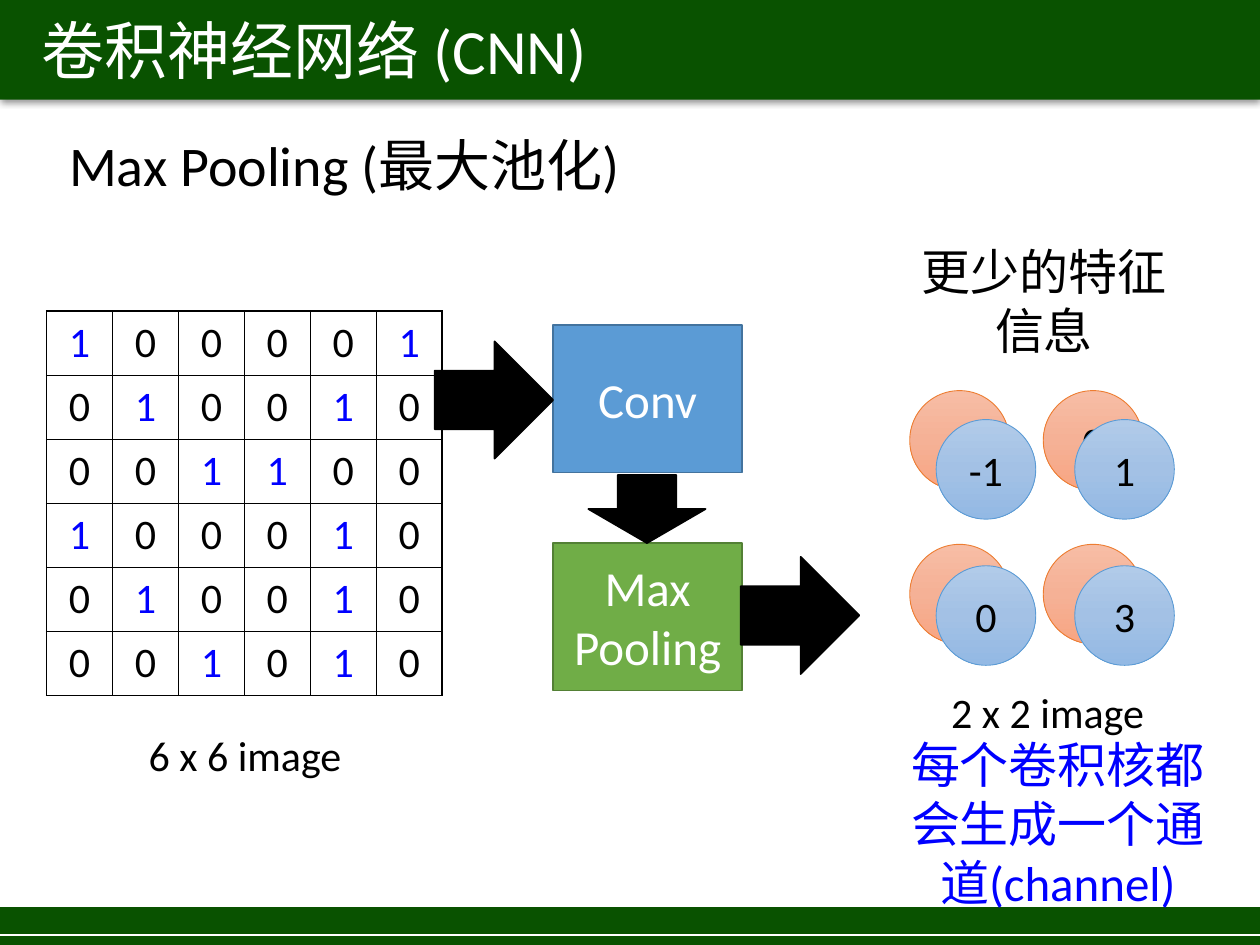
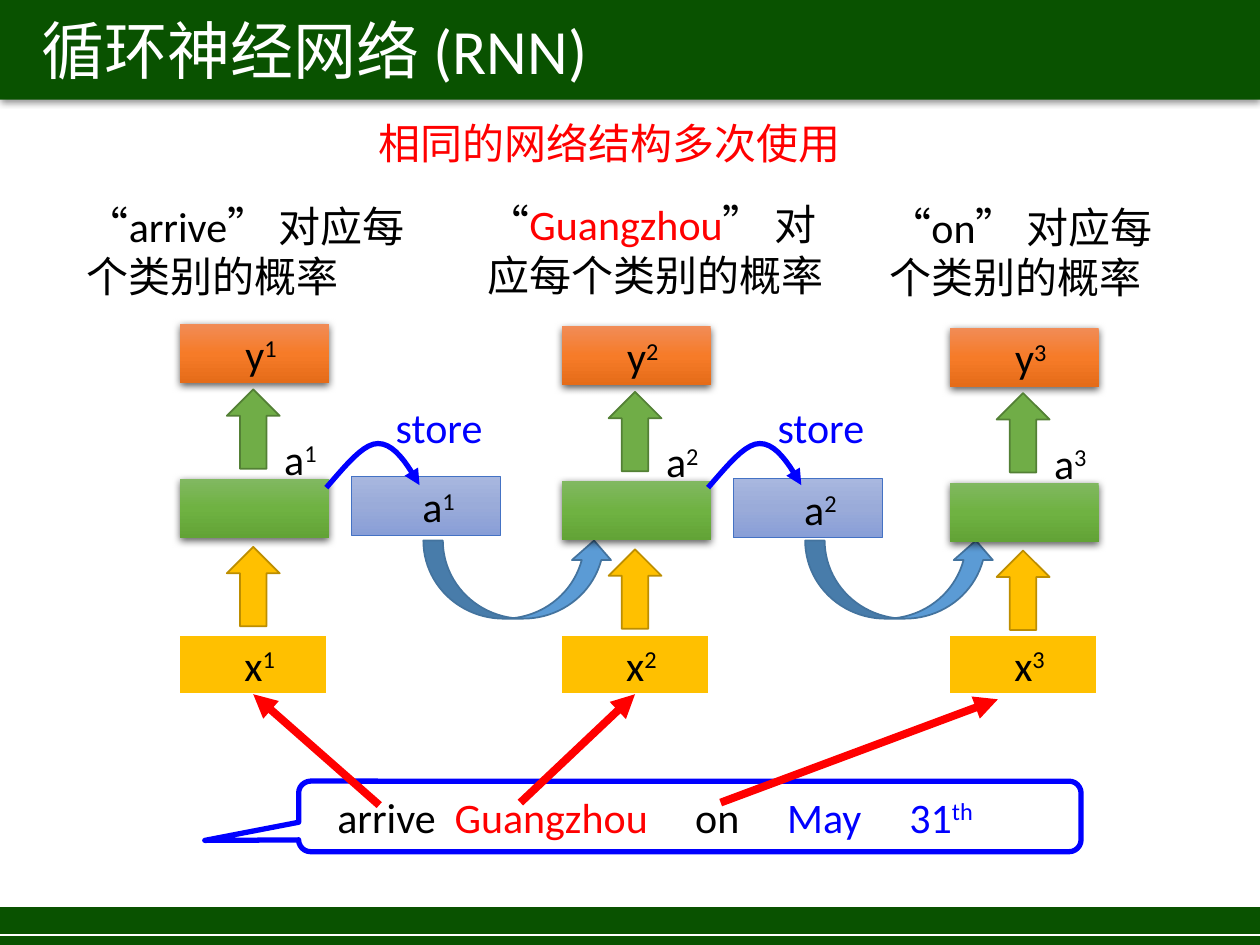
"""Build two slides that explain convolutional and recurrent networks."""
from copy import deepcopy
from dataclasses import dataclass
from itertools import product
from typing import Any, NamedTuple, Optional, Sequence, Union

from lxml.etree import SubElement
from pptx import Presentation
from pptx.dml.color import RGBColor
from pptx.enum.lang import MSO_LANGUAGE_ID
from pptx.enum.shapes import MSO_CONNECTOR, MSO_SHAPE
from pptx.enum.text import MSO_ANCHOR, MSO_AUTO_SIZE, PP_ALIGN
from pptx.oxml.ns import qn
from pptx.util import Emu, Inches, Pt

WIDE, HIGH = Inches(10), Inches(7.5)
COL, ROW = WIDE / 100, HIGH / 75
FONT = "Calibri"
HUES = {
    "band": "095200", "white": "FFFFFF", "black": "000000", "blue": "0000FF",
    "red": "FF0000", "sky": "5B9BD5", "sea": "43739E", "leaf": "70AD47",
    "moss": "538035", "gold": "FFC000", "bronze": "BD8E00", "rust": "ED7D31",
    "navy": "4472C4",
}
FADES = {
    "peach": ("F7BDA5", "F5B196", "F8A582"),
    "mist": ("B1CBE9", "A3C1E5", "93B9E4"),
    "grass": ("81B861", "6FB242", "62A336"),
    "flame": ("F18C57", "F67B28", "E56C19"),
    "dusk": ("A8B7DF", "9AABD9", "889ED7"),
}


class Box(NamedTuple):
    """Place and size in grid columns and rows."""
    left: float
    top: float
    wide: float
    high: float


class Bit(NamedTuple):
    """A run of text with its colour and height."""
    text: str
    hue: str = "black"
    high: bool = False


class Look(NamedTuple):
    """Fill, outline and shadow of a shape."""
    fill: Optional[str] = None
    line: Optional[str] = None
    width: float = 1
    shade: Optional[tuple] = None


@dataclass
class Step:
    """One time step of the recurrent network."""
    mark: str
    left: float
    drop: float
    start: tuple
    aim: float
    note: Box
    words: tuple
    store: bool = True


Words = Union[str, Sequence[Bit]]
GLOW = (63, 4.5, 1.5)
LOOKS = {
    "conv": Look("sky", "sea"), "pool": Look("leaf", "moss"),
    "flow": Look("black", "black"), "feed": Look("gold", "bronze"),
    "back": Look("peach", "rust", 0.5), "front": Look("mist", "sky", 0.5),
    "input": Look("gold", "white", 1.5), "cell": Look("grass", shade=GLOW),
    "output": Look("flame", shade=GLOW), "store": Look("dusk", "navy", 0.5),
    "band": Look("band"), "head": Look("band", shade=(40, 4, 1)),
    "pen": Look(None, "blue", 3),
}
GRID = ("100001", "010010", "001100", "100010", "010010", "001010")


def paint(hue: str) -> RGBColor:
    """Give the colour for a hue name or hex string."""
    return RGBColor.from_string(HUES.get(hue, hue))


def put(item: Any, **form: Any) -> None:
    """Set each format value on an item."""
    for name, value in form.items():
        setattr(item, name, value)


def spot(box: Box) -> list:
    """Turn grid cells into slide lengths."""
    return [Emu(round(n * unit)) for n, unit in zip(box, (COL, ROW) * 2)]


def write(frame: Any, words: Words, size: float = 24, hue: str = "black",
          align: Any = PP_ALIGN.CENTER, tabs: Sequence[float] = ()) -> None:
    """Write one paragraph of runs into a text frame."""
    frame.word_wrap = True
    para = frame.paragraphs[0]
    para.alignment = align
    if tabs:
        stops = SubElement(para._p.get_or_add_pPr(), qn("a:tabLst"))
        for tab in tabs:
            SubElement(stops, qn("a:tab"), pos=str(round(tab * COL)), algn="l")
    for bit in [Bit(words, hue)] if isinstance(words, str) else words:
        run = para.add_run()
        run.text = bit.text
        put(run.font, name=FONT, size=Pt(size),
            language_id=MSO_LANGUAGE_ID.SIMPLIFIED_CHINESE)
        run.font.color.rgb = paint(bit.hue)
        if bit.high:
            run._r.get_or_add_rPr().set("baseline", "30000")


def fade(shape: Any, hues: Sequence[str]) -> None:
    """Fill a shape with three colours from top to bottom."""
    shape.fill.gradient()
    shape.fill.gradient_angle = 270
    stops = shape.element.spPr.find(qn("a:gradFill")).find(qn("a:gsLst"))
    mid = deepcopy(stops[0])
    mid.set("pos", "50000")
    stops.insert(1, mid)
    for stop, hue in zip(shape.fill.gradient_stops, hues):
        stop.color.rgb = paint(hue)


def stroke(line: Any, hue: str, width: float) -> None:
    """Set colour and width of a line."""
    line.color.rgb = paint(hue)
    line.width = Pt(width)


def dress(shape: Any, look: Look) -> None:
    """Give a shape its fill, outline and shadow."""
    if look.fill in FADES:
        fade(shape, FADES[look.fill])
    elif look.fill:
        shape.fill.solid()
        shape.fill.fore_color.rgb = paint(look.fill)
    else:
        shape.fill.background()
    if look.line:
        stroke(shape.line, look.line, look.width)
    else:
        shape.line.fill.background()
    shape.shadow.inherit = False
    if look.shade:
        alpha, blur, dist = look.shade
        cast = SubElement(shape.element.spPr.find(qn("a:effectLst")), qn("a:outerShdw"),
                          blurRad=str(Pt(blur)), dist=str(Pt(dist)), dir="5400000",
                          algn="t", rotWithShape="0")
        tone = SubElement(cast, qn("a:srgbClr"), val=HUES["black"])
        SubElement(tone, qn("a:alpha"), val=str(alpha * 1000))


def draw(slide: Any, box: Box, look: str, kind: Any = MSO_SHAPE.RECTANGLE,
         words: Words = "", **form: Any) -> Any:
    """Draw a preset shape with centred words."""
    shape = slide.shapes.add_shape(kind, *spot(box))
    dress(shape, LOOKS[look])
    if words:
        shape.text_frame.vertical_anchor = MSO_ANCHOR.MIDDLE
        write(shape.text_frame, words, **form)
    return shape


def label(slide: Any, box: Box, words: Words, **form: Any) -> None:
    """Add a plain text box."""
    write(slide.shapes.add_textbox(*spot(box)).text_frame, words, **form)


def point(shape: Any) -> None:
    """Put an arrowhead at the end of a line."""
    SubElement(shape.element.spPr.find(qn("a:ln")), qn("a:tailEnd"), type="triangle")


def link(slide: Any, ends: Box, hue: str, width: float) -> Any:
    """Draw a straight connector between two points."""
    line = slide.shapes.add_connector(MSO_CONNECTOR.STRAIGHT, *spot(ends))
    stroke(line.line, hue, width)
    SubElement(line.element.spPr, qn("a:effectLst"))
    return line


def curve(slide: Any, left: float, top: float) -> None:
    """Draw the arched arrow that stores a value."""
    arcs = (((0, 3.5), (1.5, 1.8), (2.9, 0), (4.1, 0)),
            ((4.1, 0), (5.4, 0), (6.4, 1.6), (7.4, 3.3)))
    dots = []
    for arc, step in product(arcs, range(11)):
        t = step / 10
        share = ((1 - t) ** 3, 3 * t * (1 - t) ** 2, 3 * t * t * (1 - t), t ** 3)
        x, y = (sum(s * p[axis] for s, p in zip(share, arc)) for axis in (0, 1))
        dots.append(((left + x) * COL, (top + y) * ROW))
    path = slide.shapes.build_freeform(*map(round, dots[0]))
    path.add_line_segments([tuple(map(round, dot)) for dot in dots[1:]], close=False)
    shape = path.convert_to_shape()
    dress(shape, LOOKS["pen"])
    point(shape)


def start(deck: Any, name: str) -> Any:
    """Add a slide with title band and footer."""
    slide = deck.slides.add_slide(deck.slide_layouts[5])
    title = slide.shapes.title
    put(title, **dict(zip(("left", "top", "width", "height"), spot(Box(0, 0, 100, 7.9)))))
    dress(title, LOOKS["head"])
    put(title.text_frame, auto_size=MSO_AUTO_SIZE.NONE, margin_left=Inches(0.33),
        vertical_anchor=MSO_ANCHOR.MIDDLE)
    write(title.text_frame, name, 36, "white", PP_ALIGN.LEFT)
    draw(slide, Box(0, 72, 100, 3), "band")
    link(slide, Box(0, 74.2, 100, 74.2), "white", 0.75)
    return slide


def matrix(slide: Any) -> None:
    """Add the table of pixel values."""
    size = len(GRID)
    table = slide.shapes.add_table(size, size, *spot(Box(3.7, 24.7, 31.4, 30.5))).table
    put(table, first_row=False, horz_banding=False)
    for row, col in product(range(size), repeat=2):
        cell, mark = table.cell(row, col), GRID[row][col]
        write(cell.text_frame, mark, hue="blue" if mark == "1" else "black")
        form = cell._tc.get_or_add_tcPr()
        for side in ("lnL", "lnR", "lnT", "lnB"):
            edge = SubElement(form, qn(f"a:{side}"), w=str(Pt(1)))
            SubElement(SubElement(edge, qn("a:solidFill")), qn("a:srgbClr"),
                       val=HUES["black"])
        cell.fill.background()


def cnn(deck: Any) -> None:
    """Build the slide on convolution and pooling."""
    slide = start(deck, "卷积神经网络 (CNN)")
    matrix(slide)
    label(slide, Box(6.6, 57.4, 25.7, 5), "6 x 6 image")
    layers = (("back", (72.2, 82.8), (31, 43.2), ("3", "0", "3", "1")),
              ("front", (74.3, 85.3), (33.3, 44.9), ("-1", "1", "0", "3")))
    for look, lefts, tops, marks in layers:
        for (top, left), mark in zip(product(tops, lefts), marks):
            draw(slide, Box(left, top, 7.9, 7.9), look, MSO_SHAPE.OVAL, mark)
    label(slide, Box(70.3, 54, 25.7, 5), "2 x 2 image")
    label(slide, Box(70.7, 57.8, 26.5, 15.1), "每个卷积核都会生成一个通道(channel)",
          size=28, hue="blue")
    label(slide, Box(70.4, 18.7, 24.9, 10.4), "更少的特征信息", size=28)
    for look, top, words in (("conv", 25.8, "Conv"), ("pool", 43.1, "Max Pooling")):
        draw(slide, Box(43.9, top, 15, 11.7), look, words=words, size=28, hue="white")
    for left, top in ((34.5, 27.1), (58.8, 44.2)):
        draw(slide, Box(left, top, 9.4, 9.3), "flow", MSO_SHAPE.RIGHT_ARROW)
    draw(slide, Box(46.7, 37.7, 9.3, 5.4), "flow", MSO_SHAPE.DOWN_ARROW)
    label(slide, Box(4.5, 9.9, 46.2, 11.4), "Max Pooling (最大池化)", size=32,
          align=PP_ALIGN.LEFT)


def unit(slide: Any, step: Step) -> None:
    """Draw one time step from input to output."""
    left, drop = step.left, step.drop
    sign = {name: (Bit(name), Bit(step.mark, high=True)) for name in "xay"}
    source = draw(slide, Box(left, 50.4, 11.8, 4.7), "input", words=sign["x"])
    draw(slide, Box(left + 0.1, 38 + drop, 11.8, 4.7), "cell")
    target = draw(slide, Box(left + 0.1, 25.7 + drop, 11.8, 4.7), "output", words=sign["y"])
    for look, top in (("feed", 43.4), ("pool", 30.9)):
        draw(slide, Box(left + 3.8, top + drop, 4.2, 6.3), look, MSO_SHAPE.UP_ARROW)
    label(slide, Box(left + 6.5, 33.9 + drop, 6.3, 5), sign["a"])
    if step.store:
        held = draw(slide, Box(left + 13.7, 37.8 + drop, 11.8, 4.7), "store", words=sign["a"])
        put(held.text_frame, margin_left=Inches(0.3))
        draw(slide, Box(left + 19.4, 42.9, 15.1, 6.2), "conv", MSO_SHAPE.CURVED_UP_ARROW)
        curve(slide, left + 11.7, 35.2)
        label(slide, Box(left + 14.9, 31.4, 11.5, 5), "store", hue="blue")
    for shape in (source, target):
        put(shape.text_frame, margin_left=Inches(0.2))
    arrow = link(slide, Box(*step.start, left + 5.9 + step.aim, 55.5), "red", 4.5)
    point(arrow)
    if not step.aim:
        arrow.end_connect(source, 2)
    label(slide, step.note, step.words, align=PP_ALIGN.LEFT)


def rnn(deck: Any) -> None:
    """Build the slide on the recurrent network."""
    slide = start(deck, "循环神经网络 (RNN)")
    label(slide, Box(18.5, 8.8, 59.8, 5), "相同的网络结构多次使用", hue="red")
    said = (Bit("arrive"), Bit("\tGuangzhou", "red"), Bit("\ton"), Bit("\tMay", "blue"),
            Bit("\t31", "blue"), Bit("th", "blue", True))
    bubble = draw(slide, Box(23.7, 62, 62.1, 5.6), "pen", MSO_SHAPE.ROUNDED_RECTANGULAR_CALLOUT,
                  said, align=PP_ALIGN.LEFT, tabs=(9.3, 28.4, 35.7, 45.4))
    put(bubble.text_frame, margin_left=Inches(0.28))
    for spot_no, value in enumerate((-0.62, 0.34, 0.17)):
        bubble.adjustments[spot_no] = value
    tail = "” 对应每个类别的概率"
    steps = (
        Step("1", 14.2, 0, (30.1, 63.9), 0, Box(5.9, 15.4, 29.5, 9.1),
             (Bit("“arrive" + tail),)),
        Step("2", 44.5, 0.2, (41.3, 63.7), 0, Box(37.7, 15.3, 29.5, 9.1),
             (Bit("“"), Bit("Guangzhou", "red"), Bit(tail))),
        Step("3", 75.3, 0.3, (57.2, 63.7), -2, Box(69.6, 15.5, 25.5, 9.1),
             (Bit("“on" + tail),), False),
    )
    for step in steps:
        unit(slide, step)


def main() -> None:
    """Build and save the deck."""
    deck = Presentation()
    put(deck, slide_width=WIDE, slide_height=HIGH)
    cnn(deck)
    rnn(deck)
    deck.save("out.pptx")


if __name__ == "__main__":
    main()
